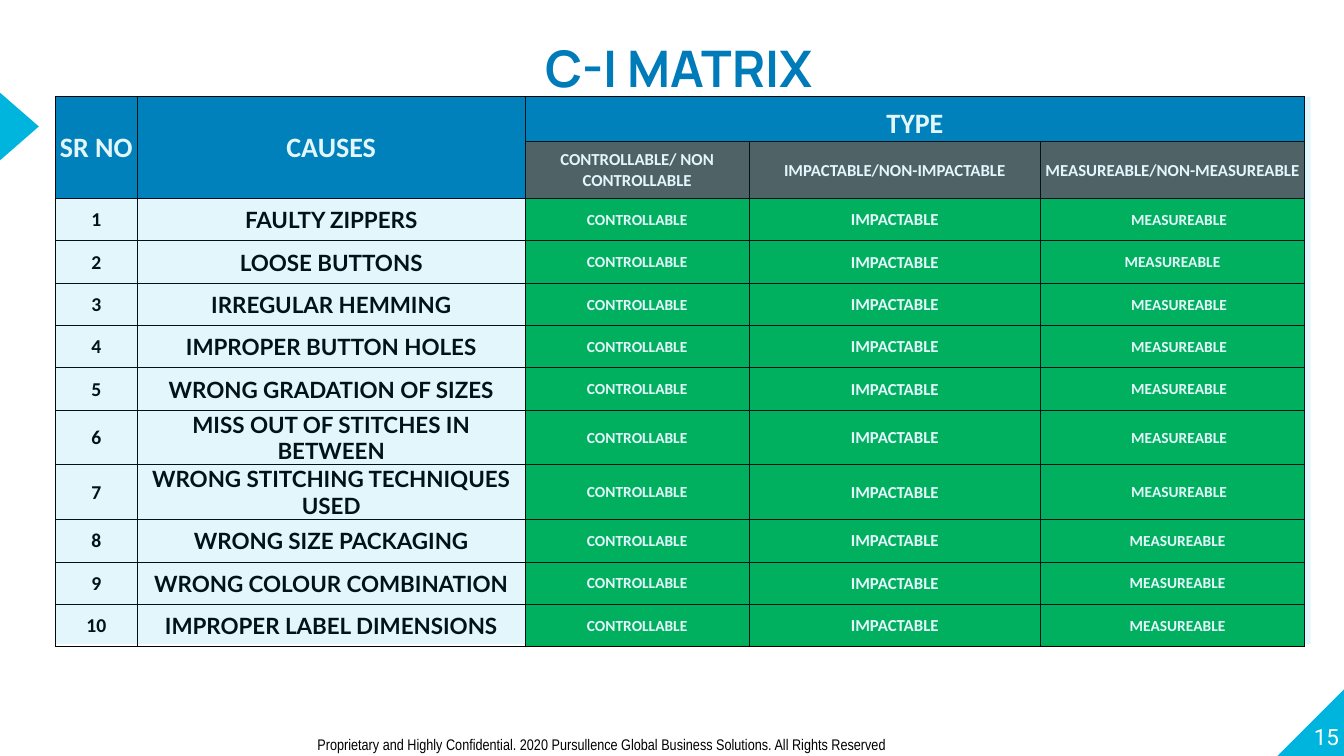
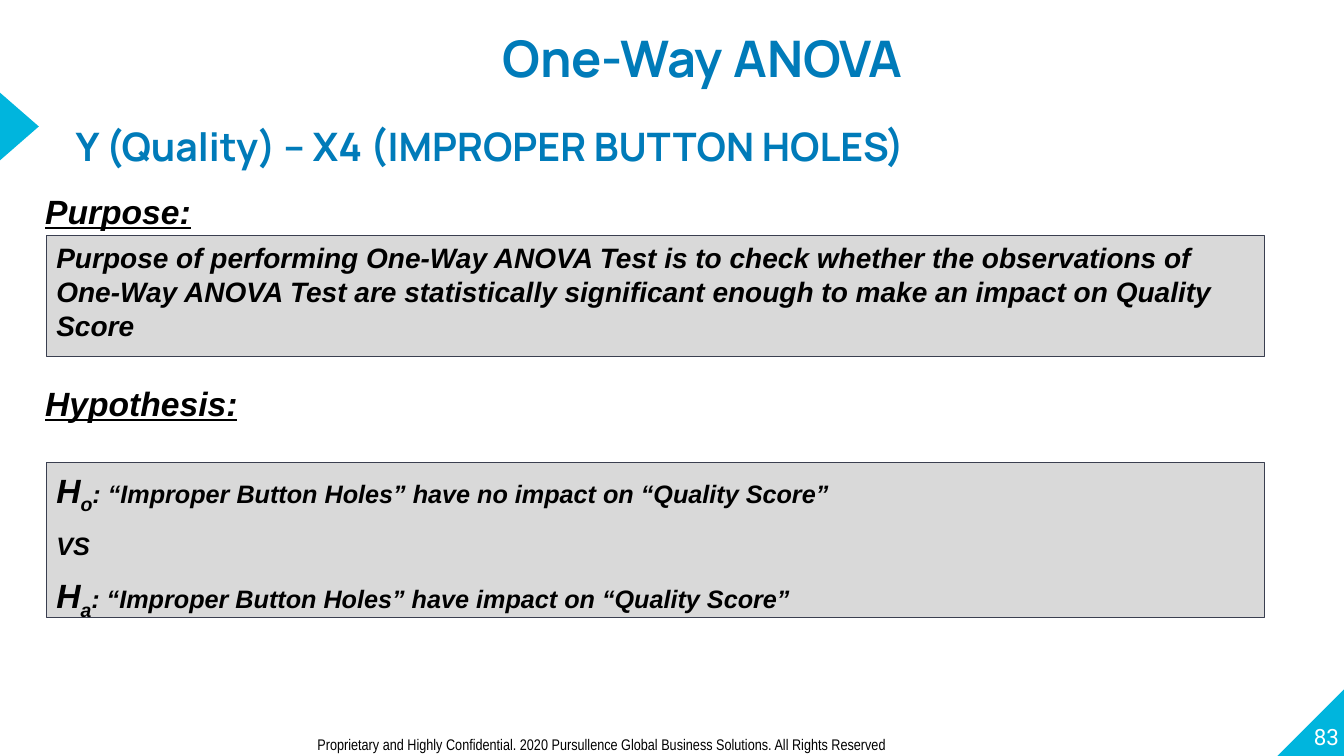
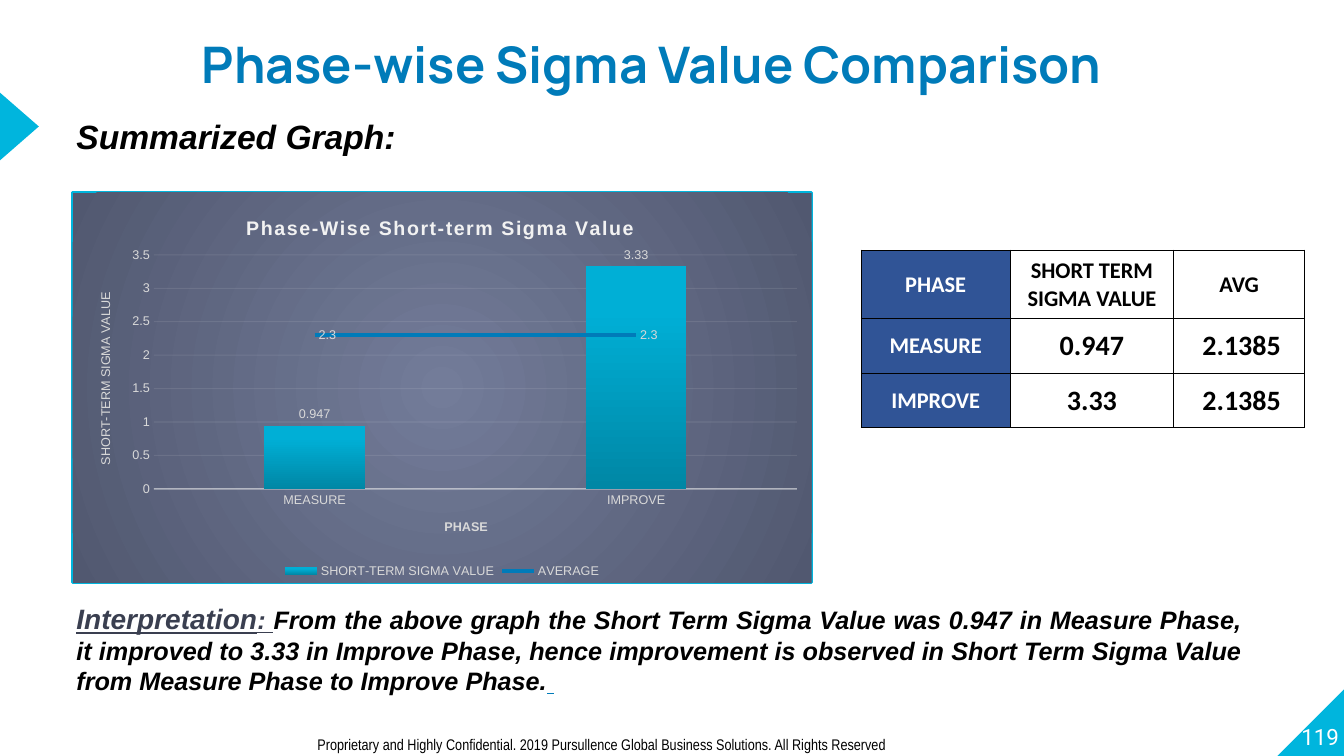
from lxml import etree
from pptx import Presentation
from pptx.chart.data import CategoryChartData
from pptx.dml.color import RGBColor
from pptx.enum.chart import XL_CHART_TYPE as ChartType
from pptx.enum.chart import XL_LABEL_POSITION as LabelSpot
from pptx.enum.chart import XL_LEGEND_POSITION as LegendSpot
from pptx.enum.chart import XL_MARKER_STYLE as Marker
from pptx.enum.chart import XL_TICK_MARK as Tick
from pptx.enum.shapes import MSO_SHAPE as Preset
from pptx.enum.text import MSO_ANCHOR as Anchor
from pptx.enum.text import PP_ALIGN as Align
from pptx.oxml import parse_xml
from pptx.oxml.ns import nsdecls, qn
from pptx.util import Inches, Pt

COLORS = {
    "cyan": "00B5DD", "blue": "007BB9", "navy": "305496", "green": "00B050",
    "gray": "595959", "panel": "D9D9D9", "slate": "3A3F50", "white": "FFFFFF",
    "black": "000000", "pale": "F2F2F2", "bar dark": "0087A5",
    "bar light": "00AFD6", "plot center": "737C99", "plot edge": "515870",
}
HEADING = {"size": 24, "bold": True, "italic": True}
BODY = {"size": 18, "bold": True, "italic": True}


def rgb(name):
    return RGBColor.from_string(COLORS[name])


def inches(values):
    return [Inches(value) for value in values]


def set_alpha(element, percent):
    color = next(element.iter(qn("a:srgbClr")))
    etree.SubElement(color, qn("a:alpha")).set("val", str(percent * 1000))


# Text
def style_font(font, size=None, color=None, face=None, bold=None, italic=None, underline=None):
    if size:
        font.size = Pt(size)
    if color:
        font.color.rgb = rgb(color)
    if face:
        font.name = face
    if bold is not None:
        font.bold = bold
    if italic is not None:
        font.italic = italic
    if underline is not None:
        font.underline = underline


def write_line(para, spans, style):
    """Fill a paragraph; spans are (text, style changes, baseline) tuples."""
    style_font(para.font, **{"face": "Arial", "color": "black", **style})
    for text, changes, baseline in spans:
        span = para.add_run()
        span.text = text
        style_font(span.font, **changes)
        if baseline:
            span.font._element.set("baseline", str(baseline * 1000))


def add_text(page, box, lines, style, align=Align.LEFT, spacing=None, gap=0,
             inset=True, anchor=Anchor.TOP):
    frame = page.shapes.add_textbox(*inches(box)).text_frame
    frame.word_wrap = True
    frame.vertical_anchor = anchor
    if not inset:
        frame.margin_left = frame.margin_right = frame.margin_top = frame.margin_bottom = 0
    for index, line in enumerate(lines):
        para = frame.paragraphs[0] if index == 0 else frame.add_paragraph()
        para.alignment = align
        if spacing:
            para.line_spacing = spacing
        if index and gap:
            para.space_before = Pt(gap)
        write_line(para, [(line, {}, 0)] if isinstance(line, str) else line, style)


def add_heading(page, box, text, size=36, align=Align.CENTER):
    style = {"size": size, "color": "blue", "face": "Manrope", "bold": True}
    add_text(page, box, [text], style, align, spacing=1.5, inset=False)


# Shapes
def add_block(page, preset, box, fill, line=None, width=0.75):
    shape = page.shapes.add_shape(preset, *inches(box))
    shape.shadow.inherit = False
    shape.fill.solid()
    shape.fill.fore_color.rgb = rgb(fill)
    if line:
        shape.line.color.rgb = rgb(line)
        shape.line.width = Pt(width)
    else:
        shape.line.fill.background()
    return shape


def add_page(deck, title, title_left, title_top, number, year):
    """Blank page with the shared corner, pointer, title and footer."""
    page = deck.slides.add_slide(deck.slide_layouts[6])
    corner = add_block(page, Preset.RIGHT_TRIANGLE, (12.67, 6.82, 0.68, 0.68), "cyan")
    corner._element.spPr.find(qn("a:xfrm")).set("flipH", "1")
    add_block(page, Preset.ISOSCELES_TRIANGLE, (-0.15, 1.06, 0.68, 0.39), "cyan").rotation = 90
    add_text(page, (12.61, 6.76, 0.67, 0.68), [str(number)],
             {"size": 16, "color": "white", "face": "Roboto"},
             Align.RIGHT, inset=False, anchor=Anchor.BOTTOM)
    add_heading(page, (title_left, title_top, 9.71, 0.76), title)
    add_text(page, (3.05, 7.24, 8.51, 0.29),
             [f"Proprietary and Highly Confidential. {year} Pursullence Global "
              "Business Solutions. All Rights Reserved"],
             {"size": 11, "face": "Arial Narrow"})
    return page


# Tables
def add_grid(page, left, top, widths, heights):
    frame = page.shapes.add_table(len(heights), len(widths),
                                  *inches((left, top, sum(widths), sum(heights))))
    table = frame.table
    table.first_row = table.horz_banding = False
    for column, width in zip(table.columns, widths):
        column.width = Inches(width)
    for row, height in zip(table.rows, heights):
        row.height = Inches(height)
    for cell in table.iter_cells():
        properties = cell._tc.get_or_add_tcPr()
        for side in ("lnL", "lnR", "lnT", "lnB"):
            properties.append(parse_xml(
                f'<a:{side} {nsdecls("a")} w="6350"><a:solidFill>'
                f'<a:srgbClr val="{COLORS["black"]}"/></a:solidFill></a:{side}>'))
        cell.fill.background()
    return table


def fill_cell(cell, text, size, color="black", fill=None, face="Calibri",
              shift=0, anchor=Anchor.MIDDLE):
    """Write one centred cell; shift widens the left margin."""
    cell.margin_left = Inches(0.01 + shift)
    cell.margin_right = cell.margin_top = Inches(0.01)
    cell.margin_bottom = 0
    cell.vertical_anchor = anchor
    if fill:
        cell.fill.solid()
        cell.fill.fore_color.rgb = rgb(fill)
    para = cell.text_frame.paragraphs[0]
    para.alignment = Align.CENTER
    write_line(para, [(text, {}, 0)], {"size": size, "color": color, "face": face, "bold": True})


def add_cause_matrix(page, left, top):
    causes = [
        "FAULTY ZIPPERS", "LOOSE BUTTONS", "IRREGULAR HEMMING", "IMPROPER BUTTON HOLES",
        "WRONG GRADATION OF SIZES", "MISS OUT OF STITCHES IN BETWEEN",
        "WRONG STITCHING TECHNIQUES USED", "WRONG SIZE PACKAGING",
        "WRONG COLOUR COMBINATION", "IMPROPER LABEL DIMENSIONS",
    ]
    heights = [0.44, 0.57] + [0.53 if len(cause) > 28 else 0.42 for cause in causes]
    table = add_grid(page, left, top, [0.81, 3.85, 2.22, 2.89, 2.62], heights)
    # Header rows
    for column, text in enumerate(["SR NO", "CAUSES"]):
        table.cell(0, column).merge(table.cell(1, column))
        fill_cell(table.cell(0, column), text, 20, "white", "blue")
    table.cell(0, 2).merge(table.cell(0, 4))
    fill_cell(table.cell(0, 2), "TYPE", 20, "white", "blue", anchor=Anchor.BOTTOM)
    kinds = ["CONTROLLABLE/ NON CONTROLLABLE", "IMPACTABLE/NON-IMPACTABLE",
             "MEASUREABLE/NON-MEASUREABLE"]
    for column, text in enumerate(kinds, 2):
        fill_cell(table.cell(1, column), text, 12, "white", "gray")
    # One row for each cause
    for number, cause in enumerate(causes, 1):
        row = number + 1
        shift = 0 if number == 2 else 0.13 if number < 8 else 0.1
        fill_cell(table.cell(row, 0), str(number), 14)
        fill_cell(table.cell(row, 1), cause, 16, face="Lato")
        fill_cell(table.cell(row, 2), "CONTROLLABLE", 11, "white", "green")
        fill_cell(table.cell(row, 3), "IMPACTABLE", 12, "white", "green")
        fill_cell(table.cell(row, 4), "MEASUREABLE", 11, "white", "green", shift=shift)
    # Light tint over the table
    tint = add_block(page, Preset.RECTANGLE, (left, top, 12.45, 5.43), "cyan")
    set_alpha(tint._element.spPr, 11)


def add_sigma_table(page, left, top):
    rows = [("PHASE", "SHORT TERM SIGMA VALUE", "AVG"),
            ("MEASURE", "0.947", "2.1385"), ("IMPROVE", "3.33", "2.1385")]
    table = add_grid(page, left, top, [1.48, 1.62, 1.3], [0.68, 0.54, 0.54])
    for row, (phase, value, average) in enumerate(rows):
        size = 20 if row else 16
        fill_cell(table.cell(row, 0), phase, 16, "white", "navy")
        fill_cell(table.cell(row, 1), value, size)
        fill_cell(table.cell(row, 2), average, size, shift=0.05 if row else 0)


# Chart
def set_layout(parent, x, y, width=None, height=None):
    layout = parent.find(qn("c:layout"))
    if layout is None:
        layout = etree.Element(qn("c:layout"))
        parent.insert(0, layout)
    manual = etree.SubElement(layout, qn("c:manualLayout"))
    parts = [("xMode", "edge"), ("yMode", "edge"), ("x", x), ("y", y)]
    if width:
        parts = [("layoutTarget", "inner")] + parts + [("w", width), ("h", height)]
    for tag, value in parts:
        etree.SubElement(manual, qn(f"c:{tag}")).set("val", str(value))


def set_title(owner, text, x, y, size, color, bold):
    para = owner.text_frame.paragraphs[0]
    para.text = text
    style_font(para.runs[0].font, size, color, "Arial", bold)
    set_layout(owner._element, x, y)
    return para.runs[0]


def move_to_line(bar_plot):
    """Move the second column series to a line on the same axes."""
    bars = bar_plot._element
    series = bars.findall(qn("c:ser"))[1]
    for flag in series.findall(qn("c:invertIfNegative")):
        series.remove(flag)
    line = parse_xml(f'<c:lineChart {nsdecls("c")}><c:grouping val="standard"/>'
                     '<c:varyColors val="0"/></c:lineChart>')
    line.append(series)
    etree.SubElement(line, qn("c:marker")).set("val", "1")
    for axis in bars.findall(qn("c:axId")):
        etree.SubElement(line, qn("c:axId")).set("val", axis.get("val"))
    bars.addnext(line)


def add_sigma_chart(page, box):
    add_block(page, Preset.RECTANGLE, box, "white", "cyan", 2)
    data = CategoryChartData()
    data.categories = ["MEASURE", "IMPROVE"]
    data.add_series("SHORT-TERM SIGMA VALUE", (0.947, 3.33))
    data.add_series("AVERAGE", (2.3, 2.3))
    chart = page.shapes.add_chart(ChartType.COLUMN_CLUSTERED, *inches(box), data).chart
    style_font(chart.font, 9, "panel", "Arial")

    # Background
    stops = "".join(f'<a:gs pos="{place}"><a:srgbClr val="{COLORS[name]}"/></a:gs>'
                    for place, name in ((0, "plot center"), (100000, "plot edge")))
    chart._chartSpace.find(qn("c:chart")).addnext(parse_xml(
        f'<c:spPr {nsdecls("c", "a")}><a:gradFill><a:gsLst>{stops}</a:gsLst>'
        '<a:path path="circle"><a:fillToRect l="50000" t="50000" r="50000" b="50000"/>'
        '</a:path></a:gradFill><a:ln><a:noFill/></a:ln></c:spPr>'))

    # Columns and average line
    bar_plot = chart.plots[0]
    bar_plot.gap_width = 219
    bar_plot.vary_by_categories = False
    move_to_line(bar_plot)
    bars, average = bar_plot.series[0], chart.plots[1].series[0]
    fill = bars.format.fill
    fill.gradient()
    fill.gradient_angle = 90
    for stop, (name, place) in zip(fill.gradient_stops, (("bar dark", 0), ("bar light", 0.8))):
        stop.color.rgb = rgb(name)
        stop.position = place
    average.smooth = False
    average.marker.style = Marker.NONE
    average.format.line.color.rgb = rgb("blue")
    average.format.line.width = Pt(2.75)
    for series, spot in ((bars, LabelSpot.OUTSIDE_END), (average, LabelSpot.RIGHT)):
        labels = series.data_labels
        labels.show_value = True
        labels.position = spot
        style_font(labels.font, 9, "panel", "Arial")

    # Axes
    category, value = chart.category_axis, chart.value_axis
    for axis in (category, value):
        axis.major_tick_mark = axis.minor_tick_mark = Tick.NONE
        style_font(axis.tick_labels.font, 9, "panel", "Arial")
    category.format.line.color.rgb = rgb("pale")
    category.format.line.width = Pt(1)
    set_alpha(category._element.find(qn("c:spPr")), 54)
    value.minimum_scale, value.maximum_scale, value.major_unit = 0, 3.5, 0.5
    value.format.line.fill.background()
    grid = value.major_gridlines.format.line
    grid.color.rgb = rgb("pale")
    grid.width = Pt(0.75)
    set_alpha(value._element.find(qn("c:majorGridlines")), 10)

    # Titles, plot area and legend
    title = set_title(chart.chart_title, "Phase-Wise Short-term Sigma Value",
                      0.23, 0.05, 14, "pale", True)
    title.font._element.set("spc", "100")
    set_title(category.axis_title, "PHASE", 0.5, 0.83, 9, "panel", True)
    set_title(value.axis_title, "SHORT-TERM SIGMA VALUE", 0.03, 0.25, 9, "panel", False)
    set_layout(next(chart._chartSpace.iter(qn("c:plotArea"))), 0.11, 0.16, 0.87, 0.6)
    chart.has_legend = True
    chart.legend.position = LegendSpot.BOTTOM
    chart.legend.include_in_layout = False
    style_font(chart.legend.font, 9, "panel", "Arial")


# Slides
def build_matrix(deck):
    page = add_page(deck, "C-I MATRIX", 1.88, 0.07, 15, 2020)
    add_cause_matrix(page, 0.55, 0.96)


def build_anova(deck):
    page = add_page(deck, "One-Way ANOVA", 2.11, -0.03, 83, 2020)
    add_heading(page, (0.75, 0.98, 8.93, 0.61), "Y (Quality) – X4 (IMPROPER BUTTON HOLES)",
                28, Align.LEFT)

    def hypothesis(mark, claim):
        large = {"size": 24}
        return [("H", large, 0), (mark, large, -25),
                (f": “Improper Button Holes” have {claim} on “Quality Score”", {}, 0)]

    purpose = ("Purpose of performing One-Way ANOVA Test is to check whether the observations "
               "of One-Way ANOVA Test are statistically significant enough to make an impact "
               "on Quality Score")
    sections = [
        ("Purpose:", 1.84, 2.34, 1.2, [purpose], {**BODY, "size": 20}, None),
        ("Hypothesis:", 3.75, 4.59, 1.54,
         [hypothesis("o", "no impact"), "VS", hypothesis("a", "impact")], BODY, 1.05),
    ]
    for label, label_top, top, height, lines, style, spacing in sections:
        add_text(page, (0.35, label_top, 7.6, 0.5), [label], {**HEADING, "underline": True})
        panel = (0.46, top, 12.08, height)
        add_block(page, Preset.RECTANGLE, panel, "panel", "slate")
        add_text(page, panel, lines, style, spacing=spacing, gap=9)


def build_comparison(deck):
    page = add_page(deck, "Phase-wise Sigma Value Comparison", 1.61, 0.03, 119, 2019)
    add_text(page, (0.66, 1.1, 5.47, 0.5), ["Summarized Graph:"], HEADING)
    add_sigma_chart(page, (0.72, 1.91, 7.33, 3.87))
    add_sigma_table(page, 8.54, 2.48)
    lead = {"color": "slate", "underline": True}
    add_text(page, (0.66, 5.92, 11.76, 1.1), [[
        ("Interpretation", {**lead, "size": 20}, 0),
        (": ", lead, 0),
        ("From the above graph the Short Term Sigma Value was 0.947 in Measure Phase, it "
         "improved to 3.33 in Improve Phase, hence improvement is observed in Short Term "
         "Sigma Value from Measure Phase to Improve Phase.", {}, 0),
        (" ", {"color": "blue", "underline": True}, 0),
    ]], BODY, Align.JUSTIFY)


def main():
    deck = Presentation()
    deck.slide_width, deck.slide_height = inches((13.33, 7.5))
    build_matrix(deck)
    build_anova(deck)
    build_comparison(deck)
    deck.save("out.pptx")


if __name__ == "__main__":
    main()
